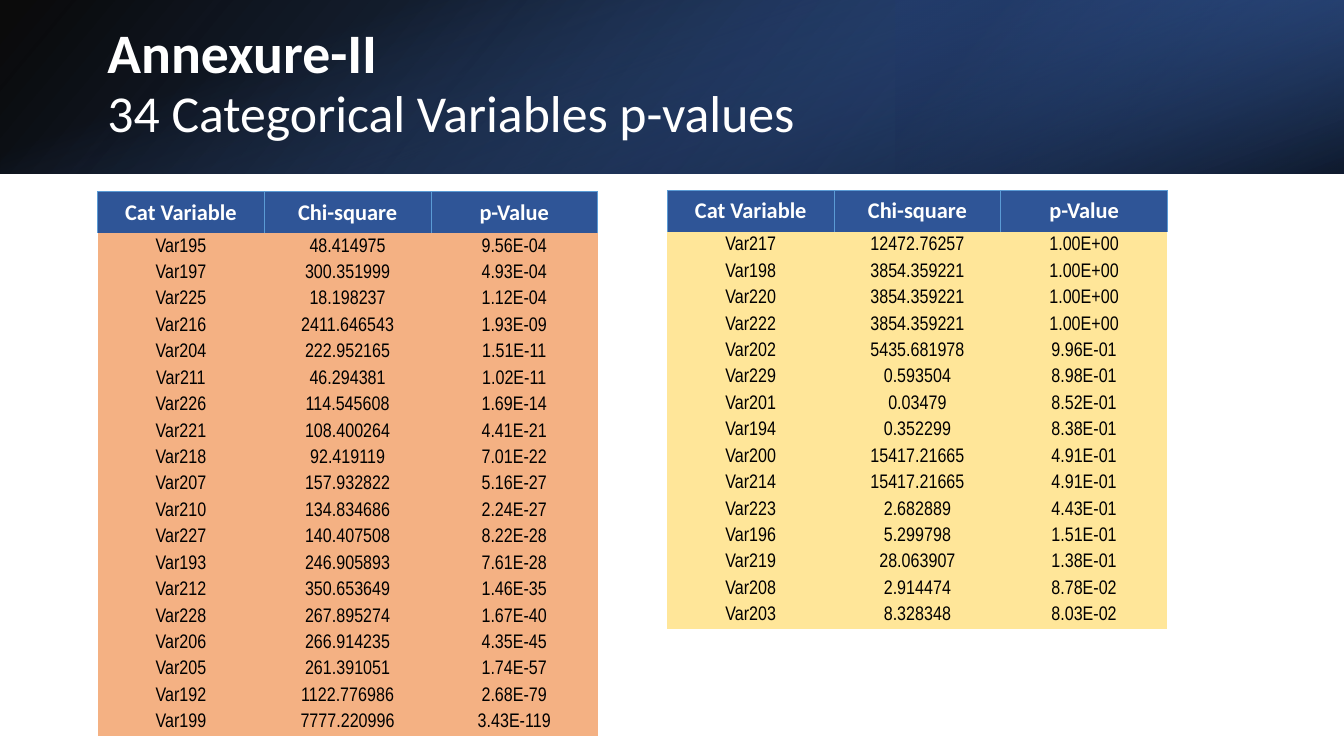
from lxml.etree import SubElement
from pptx import Presentation
from pptx.dml.color import RGBColor
from pptx.enum.shapes import MSO_SHAPE
from pptx.enum.text import MSO_ANCHOR, PP_ALIGN
from pptx.oxml import parse_xml
from pptx.oxml.ns import nsdecls, qn
from pptx.util import Cm, Pt

COLORS = {
    "black": "000000",
    "white": "FFFFFF",
    "navy": "203864",
    "blue": "2F5597",
    "bright": "4472C4",
    "border": "5B9BD5",
    "orange": "F4B183",
    "yellow": "FFE699",
}
NO_GRID_STYLE = "{2D5ABB26-0587-4C30-8999-92F81FD0307C}"
SLIDE_WIDTH, BAND_HEIGHT = 33.87, 4.38
BAND_OFFSET = (SLIDE_WIDTH - BAND_HEIGHT) / 2

HEADER = ("Cat Variable", "Chi-square", "p-Value")
SIGNIFICANT = [
    ("Var195", "48.414975", "9.56E-04"),
    ("Var197", "300.351999", "4.93E-04"),
    ("Var225", "18.198237", "1.12E-04"),
    ("Var216", "2411.646543", "1.93E-09"),
    ("Var204", "222.952165", "1.51E-11"),
    ("Var211", "46.294381", "1.02E-11"),
    ("Var226", "114.545608", "1.69E-14"),
    ("Var221", "108.400264", "4.41E-21"),
    ("Var218", "92.419119", "7.01E-22"),
    ("Var207", "157.932822", "5.16E-27"),
    ("Var210", "134.834686", "2.24E-27"),
    ("Var227", "140.407508", "8.22E-28"),
    ("Var193", "246.905893", "7.61E-28"),
    ("Var212", "350.653649", "1.46E-35"),
    ("Var228", "267.895274", "1.67E-40"),
    ("Var206", "266.914235", "4.35E-45"),
    ("Var205", "261.391051", "1.74E-57"),
    ("Var192", "1122.776986", "2.68E-79"),
    ("Var199", "7777.220996", "3.43E-119"),
]
NOT_SIGNIFICANT = [
    ("Var217", "12472.76257", "1.00E+00"),
    ("Var198", "3854.359221", "1.00E+00"),
    ("Var220", "3854.359221", "1.00E+00"),
    ("Var222", "3854.359221", "1.00E+00"),
    ("Var202", "5435.681978", "9.96E-01"),
    ("Var229", "0.593504", "8.98E-01"),
    ("Var201", "0.03479", "8.52E-01"),
    ("Var194", "0.352299", "8.38E-01"),
    ("Var200", "15417.21665", "4.91E-01"),
    ("Var214", "15417.21665", "4.91E-01"),
    ("Var223", "2.682889", "4.43E-01"),
    ("Var196", "5.299798", "1.51E-01"),
    ("Var219", "28.063907", "1.38E-01"),
    ("Var208", "2.914474", "8.78E-02"),
    ("Var203", "8.328348", "8.03E-02"),
]


def add_text(paragraph, text, size, font_name, color, bold):
    run = paragraph.add_run()
    run.text = text
    run.font.size = Pt(size)
    run.font.name = font_name
    run.font.bold = bold
    run.font.color.rgb = RGBColor.from_string(COLORS[color])


presentation = Presentation()
presentation.slide_width = Cm(SLIDE_WIDTH)
presentation.slide_height = Cm(19.05)
slide = presentation.slides.add_slide(presentation.slide_layouts[6])

# Header band: three gradient layers; a stop is (position, color, opacity)
layers = [
    ((0, 0, SLIDE_WIDTH, BAND_HEIGHT), 0, True, 140,
     [(0, "black", 96), (100, "blue", 100)]),
    ((22.58, 0, SLIDE_WIDTH - 22.58, BAND_HEIGHT), 180, True, 320,
     [(19, "navy", 68), (100, "bright", 79)]),
    ((BAND_OFFSET, -BAND_OFFSET, BAND_HEIGHT, SLIDE_WIDTH), 90, False, 340,
     [(23, "bright", 0), (99, "black", 74)]),
]
for box, rotation, flipped, angle, stops in layers:
    shape = slide.shapes.add_shape(MSO_SHAPE.RECTANGLE, *map(Cm, box))
    shape.shadow.inherit = False
    shape.line.fill.background()
    shape.rotation = rotation
    properties = shape.element.spPr
    if flipped:
        properties.find(qn("a:xfrm")).set("flipH", "1")
    shape.fill.gradient()
    gradient = properties.find(qn("a:gradFill"))
    gradient.find(qn("a:lin")).set("ang", str(angle * 60000))
    for stop, (position, color, opacity) in zip(shape.fill.gradient_stops, stops):
        stop.position = position / 100
        stop.color.rgb = RGBColor.from_string(COLORS[color])
    for color_element, (_, _, opacity) in zip(gradient.iter(qn("a:srgbClr")), stops):
        SubElement(color_element, qn("a:alpha")).set("val", str(opacity * 1000))

# Title
title = slide.shapes.add_textbox(Cm(2.46), Cm(0.56), Cm(26.85), Cm(3.25))
title_frame = title.text_frame
title_frame.word_wrap = True
title_frame.vertical_anchor = MSO_ANCHOR.MIDDLE
title_lines = [("Annexure-II", 39.8, True),
               ("34 Categorical Variables p-values", 37, False)]
for index, (text, size, bold) in enumerate(title_lines):
    paragraph = title_frame.add_paragraph() if index else title_frame.paragraphs[0]
    paragraph.line_spacing = 0.8
    paragraph.space_after = Pt(6)
    add_text(paragraph, text, size, "Calibri", "white", bold)

# Tables
column_width, header_height, row_height = Cm(4.2), Cm(1.05), Cm(2 / 3)
tables = [(2.46, 4.83, SIGNIFICANT, "orange"),
          (16.82, 4.8, NOT_SIGNIFICANT, "yellow")]
for left, top, records, body_color in tables:
    frame = slide.shapes.add_table(
        len(records) + 1, len(HEADER), Cm(left), Cm(top),
        column_width * len(HEADER), header_height + row_height * len(records))
    table = frame.table
    table.first_row = table.horz_banding = False
    next(frame.element.iter(qn("a:tableStyleId"))).text = NO_GRID_STYLE
    for column in table.columns:
        column.width = column_width
    for row_index, values in enumerate([HEADER, *records]):
        is_header = row_index == 0
        table.rows[row_index].height = header_height if is_header else row_height
        for column_index, text in enumerate(values):
            cell = table.cell(row_index, column_index)
            cell.vertical_anchor = MSO_ANCHOR.MIDDLE
            cell.margin_left = cell.margin_right = cell.margin_top = Cm(0 if is_header else 0.02)
            cell.margin_bottom = 0
            cell.fill.solid()
            fill_color = "blue" if is_header else body_color
            cell.fill.fore_color.rgb = RGBColor.from_string(COLORS[fill_color])
            paragraph = cell.text_frame.paragraphs[0]
            paragraph.alignment = PP_ALIGN.CENTER
            if not is_header:
                add_text(paragraph, text, 14, "Arial Narrow", "black", False)
                continue
            add_text(paragraph, text, 16, "Calibri", "white", True)
            cell_properties = cell._tc.get_or_add_tcPr()
            for order, side in enumerate(("lnL", "lnR", "lnT")):
                cell_properties.insert(order, parse_xml(
                    f'<a:{side} {nsdecls("a")} w="{Pt(0.5)}"><a:solidFill>'
                    f'<a:srgbClr val="{COLORS["border"]}"/></a:solidFill></a:{side}>'))

presentation.save("out.pptx")
